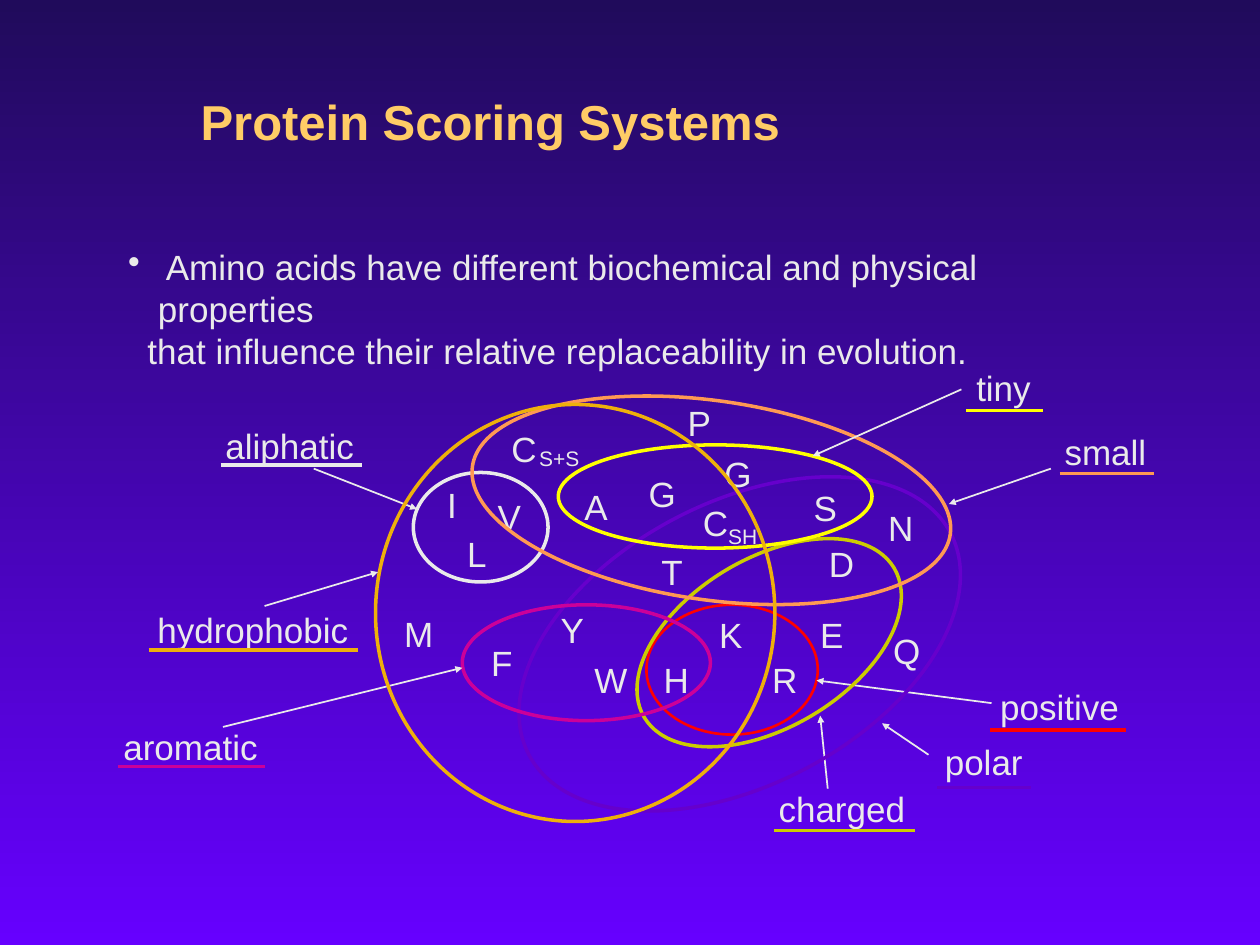
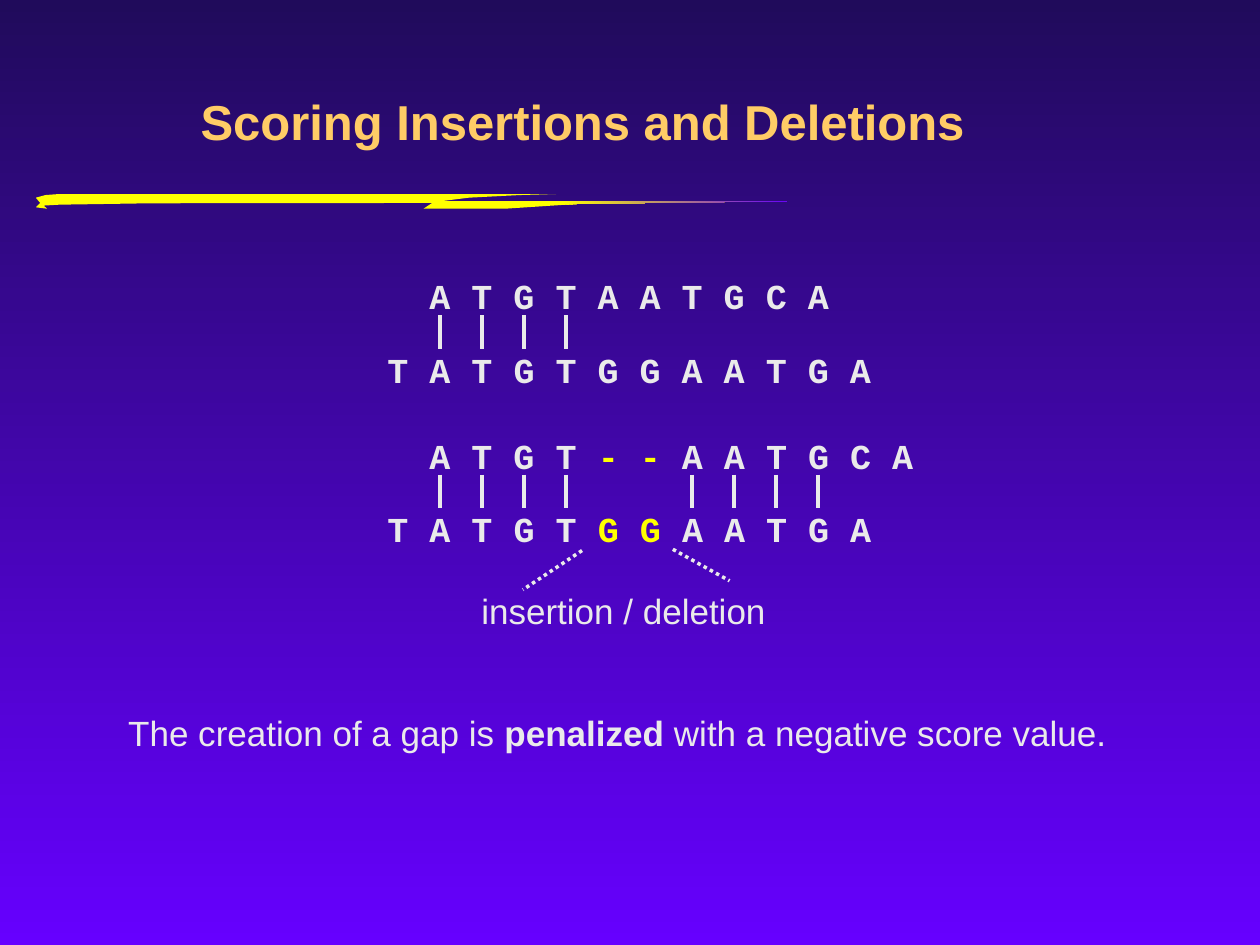
from lxml.etree import SubElement
from pptx import Presentation
from pptx.dml.color import RGBColor
from pptx.enum.dml import MSO_LINE
from pptx.enum.shapes import MSO_CONNECTOR, MSO_SHAPE
from pptx.enum.text import MSO_ANCHOR, MSO_AUTO_SIZE
from pptx.oxml.ns import qn
from pptx.util import Pt

NIGHT = RGBColor(0x20, 0x0B, 0x5B)
VIOLET = RGBColor(0x66, 0x00, 0xFF)
LIGHT = RGBColor(0xEA, 0xEA, 0xEA)
GOLD = RGBColor(0xFF, 0xCC, 0x66)
YELLOW = RGBColor(0xFF, 0xFF, 0x00)
RED = RGBColor(0xFF, 0x00, 0x00)
OLIVE = RGBColor(0xCC, 0xCC, 0x00)
PURPLE = RGBColor(0x66, 0x00, 0xCC)
MAGENTA = RGBColor(0xCC, 0x00, 0x99)
ORANGE = RGBColor(0xFF, 0x99, 0x53)
AMBER = RGBColor(0xEE, 0xB0, 0x0B)

BODY = {"name": "Arial", "size": Pt(20), "bold": False}
SUFFIX = {**BODY, "size": Pt(12)}
TITLE = {**BODY, "size": Pt(28), "bold": True}
SEQUENCE = {**BODY, "name": "Courier New", "bold": True}


def add_text(page, left, top, width, paragraphs, font_format=BODY):
    """Add a text box; each paragraph is a list of (text, colour, bold) spans.

    A bold of None keeps the weight of font_format. The right margin is zero
    so that a line as wide as its box stays on one line.
    """
    line_height = font_format["size"].pt * 1.2
    height = line_height * len(paragraphs) + 7.2
    box = page.shapes.add_textbox(Pt(left), Pt(top), Pt(width), Pt(height))
    frame = box.text_frame
    frame.word_wrap = False
    frame.margin_right = Pt(0)
    frame.auto_size = MSO_AUTO_SIZE.SHAPE_TO_FIT_TEXT
    for index, spans in enumerate(paragraphs):
        para = frame.add_paragraph() if index else frame.paragraphs[0]
        para.line_spacing = Pt(line_height)
        for text, colour, bold in spans:
            span = para.add_run()
            span.text = text
            for name, value in font_format.items():
                setattr(span.font, name, value)
            if bold is not None:
                span.font.bold = bold
            span.font.color.rgb = colour
    return box


def add_line(page, x1, y1, x2, y2, colour=LIGHT, width=2):
    line = page.shapes.add_connector(
        MSO_CONNECTOR.STRAIGHT, Pt(x1), Pt(y1), Pt(x2), Pt(y2))
    line.line.color.rgb = colour
    line.line.width = Pt(width)
    SubElement(line._element.spPr, qn("a:effectLst"))
    return line


deck = Presentation()
deck.slide_width, deck.slide_height = Pt(720), Pt(540)

# Shared background and title
pages = []
for title in ("Protein Scoring Systems", "Scoring Insertions and Deletions"):
    page = deck.slides.add_slide(deck.slide_layouts[6])
    fill = page.background.fill
    fill.gradient()
    fill.gradient_angle = 270
    for stop, colour in zip(fill.gradient_stops, (NIGHT, VIOLET)):
        stop.color.rgb = colour
    box = add_text(page, 107.6, 24, 504, [[(title, GOLD, None)]], TITLE)
    box.height = Pt(90)
    box.text_frame.auto_size = MSO_AUTO_SIZE.NONE
    box.text_frame.word_wrap = True
    box.text_frame.vertical_anchor = MSO_ANCHOR.MIDDLE
    pages.append(page)
properties_page, gaps_page = pages

# Slide 1: amino acid properties
intro = add_text(properties_page, 66.2, 136.8, 586, [
    [(" Amino acids have different biochemical and physical properties", LIGHT, None)],
    [("that influence their relative replaceability in evolution.", LIGHT, None)],
])
intro.text_frame.word_wrap = True
bulleted, continued = [para._p.get_or_add_pPr() for para in intro.text_frame.paragraphs]
bulleted.set("marL", str(Pt(17)))
bulleted.set("indent", str(Pt(-17)))
SubElement(bulleted, qn("a:buChar"), char="•")
continued.set("marL", str(Pt(11)))

residues = [
    ("C", 285.1, 240.5, 28.8), ("P", 385.9, 226.1, 27.4), ("G", 406.8, 254.9, 29.5),
    ("G", 363.6, 266.4, 29.5), ("A", 326.9, 273.6, 27.4), ("V", 277.2, 279.4, 27.4),
    ("I", 248.4, 272.9, 19.4), ("L", 259.9, 301, 25.2), ("M", 223.9, 346.3, 31),
    ("F", 273.6, 362.9, 26.6), ("Y", 313.2, 344.2, 27.4), ("W", 332.6, 373, 33.1),
    ("H", 372.2, 373, 28.8), ("K", 403.9, 347, 27.4), ("R", 434.2, 373, 28.8),
    ("E", 461.5, 347, 27.4), ("Q", 503.3, 356.4, 29.5), ("D", 466.6, 306.7, 28.8),
    ("N", 500.4, 285.8, 28.8), ("S", 457.9, 274.3, 27.4), ("T", 370.8, 311, 26.6),
    ("C", 394.6, 283, 28.8),
]
for letter, left, top, width in residues:
    add_text(properties_page, left, top, width, [[(letter, LIGHT, None)]])
for state, left, top, width in (("SH", 409, 295.9, 31), ("S+S", 301, 251.3, 37.4)):
    add_text(properties_page, left, top, width, [[(state, LIGHT, None)]], SUFFIX)

# name, colour, outline width, ellipse, rotation, arrow, label, underline (x1, x2, y)
properties = [
    ("positive", RED, 1.5, (369.4, 345.6, 97.9, 74.2), 0,
     (566.6, 401.8, 466.6, 388.8), (564.5, 388.1, 82.1), (565.9, 643.7, 417.2)),
    ("charged", OLIVE, 2, (356.4, 319, 166.3, 96.5), 329.1,
     (473, 450.7, 468.7, 409), (437.8, 446.4, 86.4), (442.1, 522.7, 474.5)),
    ("polar", PURPLE, 2, (286.6, 287.3, 272.2, 161.3), 332.2,
     (530.6, 431.3, 504, 413.3), (532.8, 419.8, 59), (535.7, 589, 450)),
    ("aliphatic", LIGHT, 2, (236.2, 270, 77, 62.6), 0,
     (179.3, 267.8, 238.3, 290.9), (121.7, 239, 87.8), (126, 206.6, 265.7)),
    ("aromatic", MAGENTA, 2, (264.2, 345.6, 141.8, 66.2), 0,
     (127.4, 415.4, 264.2, 381.6), (63.4, 411.1, 90.7), (67.7, 151.2, 438)),
    ("small", ORANGE, 2, (268.6, 229, 275.8, 113.8), 8.1,
     (600.5, 267.8, 542.2, 288), (601.2, 242.6, 61.2), (605.5, 659.5, 270.7)),
    ("tiny", YELLOW, 2, (319, 254.2, 179.3, 59), 0,
     (549.4, 222.5, 464.4, 260.6), (550.8, 205.9, 45.4), (552.2, 596.2, 234.7)),
    ("hydrophobic", AMBER, 2, (214.6, 231.1, 228.2, 238.3), 0,
     (151.2, 346.3, 216, 326.9), (82.8, 344.2, 123.1), (85, 204.5, 371.5)),
]
for name, colour, outline, bounds, rotation, arrow, label, (x1, x2, y) in properties:
    ellipse = properties_page.shapes.add_shape(MSO_SHAPE.OVAL, *map(Pt, bounds))
    ellipse.rotation = rotation
    ellipse.shadow.inherit = False
    ellipse.fill.background()
    ellipse.line.color.rgb = colour
    ellipse.line.width = Pt(outline)
    pointer = add_line(properties_page, *arrow, width=1)
    SubElement(pointer.line._get_or_add_ln(), qn("a:tailEnd"),
               type="triangle", w="sm", len="sm")
    add_text(properties_page, *label, [[(name, LIGHT, None)]])
    add_line(properties_page, x1, y, x2, y, colour)

# Slide 2: brush stroke under the title
stroke_points = [
    (20.5, 113), (26, 111.5), (35, 110.8), (320.5, 110.8), (297, 111.5),
    (268, 113), (252, 115), (450, 115), (387, 115.8), (331, 116.5),
    (290, 119.2), (242, 119.3), (247, 116), (86, 116.2), (34, 117),
    (25, 117.5), (27, 119.3), (20.5, 118.5), (23, 116),
]
outline_points = [(Pt(x), Pt(y)) for x, y in stroke_points]
builder = gaps_page.shapes.build_freeform(*outline_points[0])
builder.add_line_segments(outline_points[1:], close=True)
stroke = builder.convert_to_shape()
stroke.shadow.inherit = False
stroke.line.fill.background()
stroke.fill.gradient()
stroke.fill.gradient_angle = 0
for stop, colour, position in zip(stroke.fill.gradient_stops, (YELLOW, VIOLET), (0.7, 1)):
    stop.color.rgb = colour
    stop.position = position

# Slide 2: alignments, one letter every two monospaced characters
CHARACTER = 12
STEP = 2 * CHARACTER
FIRST_COLUMN = 238.3
alignments = [
    (0, 153.4, [("A T G T A A T G C A", LIGHT, None)]),
    (-1, 195.8, [("T A T G T G G A A T G A", LIGHT, None)]),
    (0, 244.8, [("A T G T ", LIGHT, None), ("- -", YELLOW, None),
                (" A A T G C A", LIGHT, None)]),
    (-1, 286.6, [("T A T G T ", LIGHT, None), ("G G", YELLOW, None),
                 (" A A T G A", LIGHT, None)]),
]
for column, top, spans in alignments:
    length = sum(len(text) for text, _, _ in spans)
    add_text(gaps_page, FIRST_COLUMN + column * STEP, top,
             length * CHARACTER + 14.4, [spans], SEQUENCE)

for top, columns in ((180.3, (0, 1, 2, 3)), (271.2, (0, 1, 2, 3, 6, 7, 8, 9))):
    for column in columns:
        x = FIRST_COLUMN + 7.2 + CHARACTER / 2 + column * STEP
        add_line(gaps_page, x, top, x, top + 19)

for ends in ((332.6, 314.6, 298.8, 337), (384.5, 313.9, 416.9, 331.9)):
    add_line(gaps_page, *ends).line.dash_style = MSO_LINE.ROUND_DOT

add_text(gaps_page, 268, 333.4, 177, [[("insertion / deletion", LIGHT, None)]])
add_text(gaps_page, 66.2, 403.2, 590, [[
    ("The creation of a gap is ", LIGHT, None),
    ("penalized", LIGHT, True),
    (" with a negative score value.", LIGHT, None),
]])

deck.save("out.pptx")
